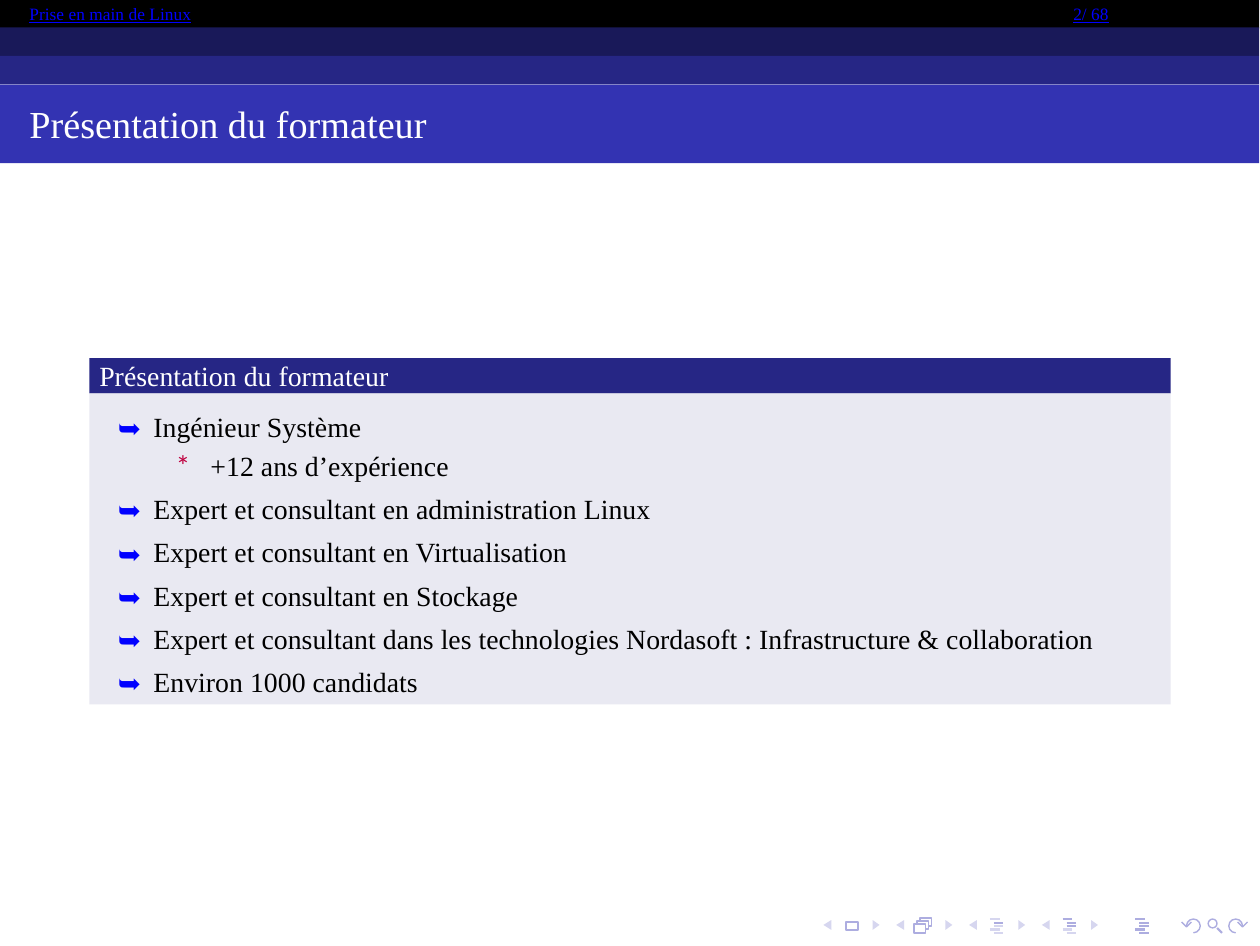
"""Build the trainer introduction slide of a Linux course."""
from math import cos, radians, sin

from lxml.etree import SubElement
from pptx import Presentation
from pptx.dml.color import RGBColor
from pptx.enum.shapes import MSO_CONNECTOR, MSO_SHAPE
from pptx.enum.text import MSO_ANCHOR, PP_ALIGN
from pptx.oxml.ns import qn
from pptx.util import Cm, Pt

BLACK = RGBColor(0x00, 0x00, 0x00)
WHITE = RGBColor(0xFF, 0xFF, 0xFF)
BLUE = RGBColor(0x00, 0x00, 0xFF)
RED = RGBColor(0xBF, 0x00, 0x3F)
NIGHT = RGBColor(0x19, 0x19, 0x59)
NAVY = RGBColor(0x26, 0x26, 0x85)
INDIGO = RGBColor(0x33, 0x33, 0xB2)
PALE = RGBColor(0xE9, 0xE9, 0xF2)
LILAC = RGBColor(0xAD, 0xAD, 0xE0)
MIST = RGBColor(0xD6, 0xD6, 0xEF)


def paint(shape, fill=None, line=None):
    shape.shadow.inherit = False
    if fill is None:
        shape.fill.background()
    else:
        shape.fill.solid()
        shape.fill.fore_color.rgb = fill
    if line is None:
        shape.line.fill.background()
    else:
        shape.line.color.rgb = line
        shape.line.width = Pt(0.4)


def write(para, text, size, color):
    para.alignment = PP_ALIGN.LEFT
    para.font.name = "Times New Roman"
    para.font.size = Pt(size)
    para.font.color.rgb = color
    para.add_run().text = text


deck = Presentation()
deck.slide_width, deck.slide_height = Pt(363), Pt(272.5)
slide = deck.slides.add_slide(deck.slide_layouts[6])
shapes = slide.shapes

pitch = 0.74
marks = []
for step in range(4):
    left = 8.37 + step * pitch
    for base, tip in ((left + 0.08, left), (left + 0.5, left + 0.57)):
        marks.append(([(base, 9.35), (tip, 9.4), (base, 9.45)], True, MIST, None))

marks.append(([(8.6, 9.37), (8.72, 9.37), (8.72, 9.45), (8.6, 9.45)], True, None, LILAC))
marks.append(([(9.29, 9.39), (9.41, 9.39), (9.41, 9.48), (9.29, 9.48)], True, None, LILAC))
for shift in (0, 0.03):
    page = [(9.32, 9.39), (9.32, 9.36), (9.44, 9.36), (9.44, 9.44), (9.41, 9.44)]
    marks.append(([(x + shift, y - shift) for x, y in page], False, None, LILAC))

for mid, side in ((12.13, 1), (12.56, -1)):
    arc = [(mid + side * 0.07 * cos(radians(turn)), 9.41 + 0.07 * sin(radians(turn)))
           for turn in range(90, -181, -30)]
    head = [(mid - side * 0.12, 9.37), (mid - side * 0.07, 9.42), (mid - side * 0.02, 9.37)]
    marks += [(arc, False, None, LILAC), (head, False, None, LILAC)]

for points, closed, fill, line in marks:
    spots = [(Cm(x), Cm(y)) for x, y in points]
    pen = shapes.build_freeform(*spots[0])
    pen.add_line_segments(spots[1:], close=closed)
    paint(pen.convert_to_shape(), fill, line)

lens = shapes.add_shape(MSO_SHAPE.OVAL, Cm(12.28), Cm(9.34), Cm(0.09), Cm(0.09))
paint(lens, None, LILAC)

strokes = [(12.37, 9.43, 12.42, 9.48, LILAC)]
for step, dark in enumerate(((1,), (0, 1, 2), range(5))):
    for row in range(5):
        left = 10.06 + step * pitch + (0.04 if row in (1, 2, 4) else 0)
        top = 9.34 + row * 0.035
        strokes.append((left, top, left + 0.1, top, LILAC if row in dark else MIST))

for *ends, color in strokes:
    stroke = shapes.add_connector(MSO_CONNECTOR.STRAIGHT, *map(Cm, ends))
    stroke.line.color.rgb = color
    stroke.line.width = Pt(0.6)
    SubElement(stroke._element.spPr, qn("a:effectLst"))

panels = (
    (0, 0, 12.8, 0.29, BLACK, None),
    (0, 0.28, 12.8, 0.29, NIGHT, None),
    (0, 0.57, 12.8, 0.29, NAVY, None),
    (0, 0.86, 12.8, 0.8, INDIGO, ("Présentation du formateur", 11, 0.3, 0.16)),
    (0.91, 3.64, 10.99, 0.36, NAVY, ("Présentation du formateur", 8, 0.1, 0.01)),
    (0.91, 4, 10.99, 3.16, PALE, None),
)
for *place, color, label in panels:
    panel = shapes.add_shape(MSO_SHAPE.RECTANGLE, *map(Cm, place))
    paint(panel, color)
    frame = panel.text_frame
    frame.vertical_anchor = MSO_ANCHOR.TOP
    frame.margin_right = frame.margin_bottom = 0
    if label:
        text, size, inset, drop = label
        frame.margin_left, frame.margin_top = Cm(inset), Cm(drop)
        write(frame.paragraphs[0], text, size, WHITE)

for left, width, text in ((0.3, 1.8, "Prise en main de Linux"), (10.91, 0.6, "2/ 68")):
    box = shapes.add_textbox(Cm(left), 0, Cm(width), Cm(0.26))
    frame = box.text_frame
    frame.margin_left = frame.margin_right = frame.margin_bottom = 0
    frame.margin_top = Cm(0.03)
    write(frame.paragraphs[0], text, 5, BLUE)
    frame.paragraphs[0].font.underline = True

items = (
    (0, "Ingénieur Système"),
    (1, "+12 ans d’expérience"),
    (0, "Expert et consultant en administration Linux"),
    (0, "Expert et consultant en Virtualisation"),
    (0, "Expert et consultant en Stockage"),
    (0, "Expert et consultant dans les technologies Nordasoft : Infrastructure & collaboration"),
    (0, "Environ 1000 candidats"),
)
levels = (
    ("➥", "Noto Sans CJK JP", BLUE, 0.65, 0.36, 2.85),
    ("*", "Lato", RED, 1.23, 0.34, 1.8),
)
body = panel.text_frame
body.margin_left, body.margin_top = 0, Cm(0.16)
body.word_wrap = True
for index, (level, text) in enumerate(items):
    sign, font, color, indent, hang, gap = levels[level]
    para = body.add_paragraph() if index else body.paragraphs[0]
    if index:
        para.space_before = Pt(gap)
    props = para._p.get_or_add_pPr()
    props.set("marL", str(Cm(indent)))
    props.set("indent", str(-Cm(hang)))
    SubElement(SubElement(props, qn("a:buClr")), qn("a:srgbClr")).set("val", str(color))
    SubElement(props, qn("a:buFont")).set("typeface", font)
    SubElement(props, qn("a:buChar")).set("char", sign)
    write(para, text, 8, BLACK)

deck.save("out.pptx")
